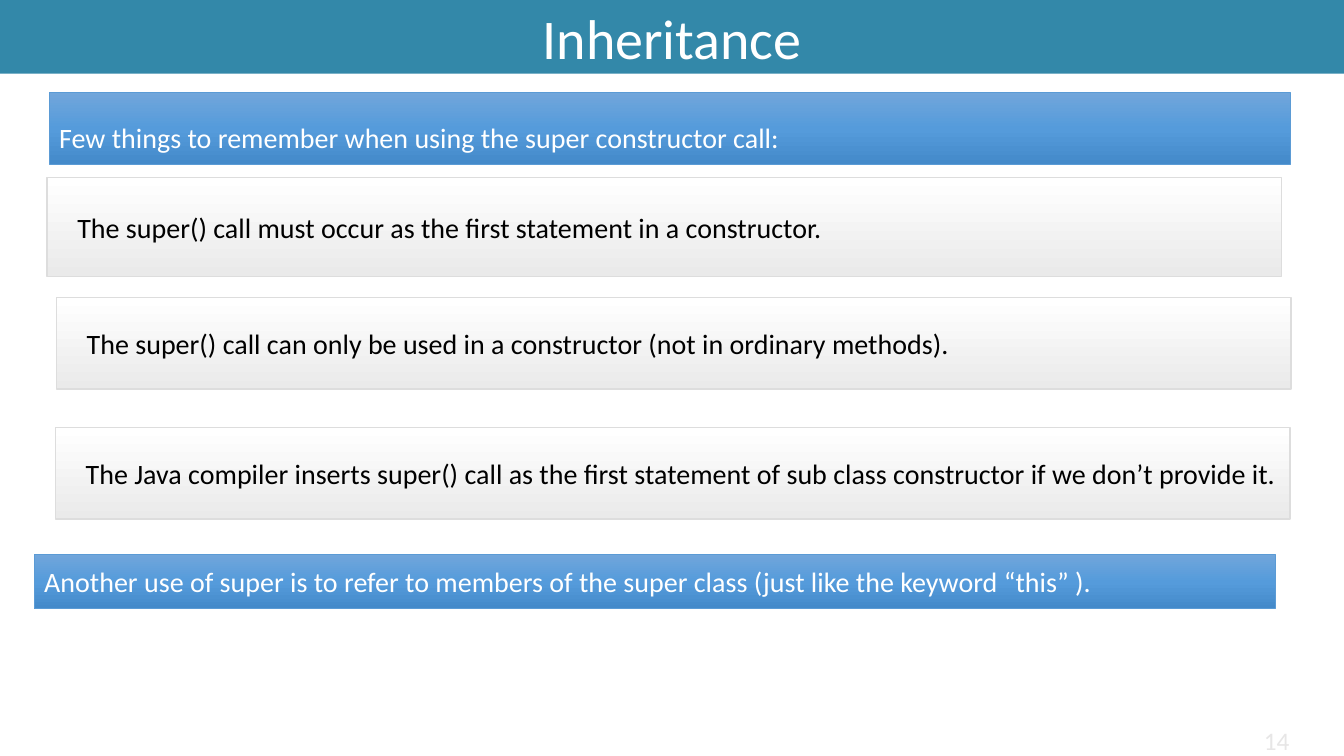
from copy import deepcopy
from pptx import Presentation
from pptx.dml.color import RGBColor
from pptx.enum.shapes import MSO_SHAPE as SHAPE
from pptx.enum.text import MSO_ANCHOR as ANCHOR, MSO_AUTO_SIZE as AUTO, PP_ALIGN as ALIGN
from pptx.oxml.ns import qn
from pptx.util import Pt


def rgb(value):
    return RGBColor.from_string(value)


def set_text(s, text, size, color, align, insets):
    tf = s.text_frame
    tf.word_wrap = True
    tf.vertical_anchor = ANCHOR.MIDDLE
    tf.margin_left, tf.margin_top, tf.margin_right, tf.margin_bottom = map(Pt, insets)
    tf.text = text
    p = tf.paragraphs[0]
    p.alignment = align
    f = p.runs[0].font
    f.name, f.size, f.color.rgb = "Calibri", Pt(size), rgb(color)
    return tf


prs = Presentation()
prs.slide_width, prs.slide_height = Pt(960), Pt(540)
slide = prs.slides.add_slide(prs.slide_layouts[6])

# Statement bars: style, left, top, height, alignment, line spacing, text
styles = {
    "blue": dict(stops=["71A6DB", "559BDB", "448ACA"], line="5B9BD5", weight=0.5,
                 width=886.3, color="FFFFFF", indent=7.2),
    "gray": dict(stops=["FFFFFF", "EAEAEA"], line="DDDDDD", weight=1,
                 width=882, color="000000", indent=21.6),
}
bars = [
    ("blue", 35.2, 66.2, 51.1, ALIGN.LEFT, 1.5,
     "Few things to remember when using the super constructor call:"),
    ("gray", 33.6, 126.7, 70.6, ALIGN.JUSTIFY, 1,
     "The super() call must occur as the first statement in a constructor."),
    ("gray", 40.3, 212.4, 65.5, ALIGN.JUSTIFY, 1,
     "The super() call can only be used in a constructor (not in ordinary methods)."),
    ("gray", 39.6, 305.3, 65.5, ALIGN.JUSTIFY, 1,
     "The Java compiler inserts super() call as the first statement of "
     "sub class constructor if we don’t provide it."),
    ("blue", 24.5, 396, 38.9, ALIGN.JUSTIFY, 1,
     "Another use of super is to refer to members of the super class "
     "(just like the keyword “this” )."),
]
for name, left, top, height, align, spacing, text in bars:
    style = styles[name]
    s = slide.shapes.add_shape(SHAPE.RECTANGLE, Pt(left), Pt(top), Pt(style["width"]), Pt(height))
    s.shadow.inherit = False
    s.line.color.rgb, s.line.width = rgb(style["line"]), Pt(style["weight"])

    # Vertical gradient, with an extra stop where the style has three
    s.fill.gradient()
    s.fill.gradient_angle = 270
    stop_list = s.fill._xPr.find(qn("a:gradFill")).find(qn("a:gsLst"))
    while len(stop_list) < len(style["stops"]):
        stop_list.append(deepcopy(stop_list[0]))
    for i, stop in enumerate(s.fill.gradient_stops):
        stop.position = i / (len(style["stops"]) - 1)
        stop.color.rgb = rgb(style["stops"][i])

    tf = set_text(s, text, 20, style["color"], align, (style["indent"], 7.2, 7.2, 7.2))
    tf.paragraphs[0].line_spacing = spacing
    if name == "blue":
        tf.auto_size = AUTO.SHAPE_TO_FIT_TEXT

# Title band
s = slide.shapes.add_shape(SHAPE.RECTANGLE, 0, 0, prs.slide_width, Pt(52.6))
s.shadow.inherit = False
s.fill.solid()
s.fill.fore_color.rgb = rgb("3388A9")
s.line.fill.background()
set_text(s, "Inheritance", 40, "FFFFFF", ALIGN.CENTER, (7.2, 3.6, 7.2, 3.6))

# Slide number
s = slide.shapes.add_textbox(Pt(860), Pt(518), Pt(61), Pt(22))
set_text(s, "14", 18, "E7E6E6", ALIGN.RIGHT, (0, 0, 0, 0))

prs.save("out.pptx")
